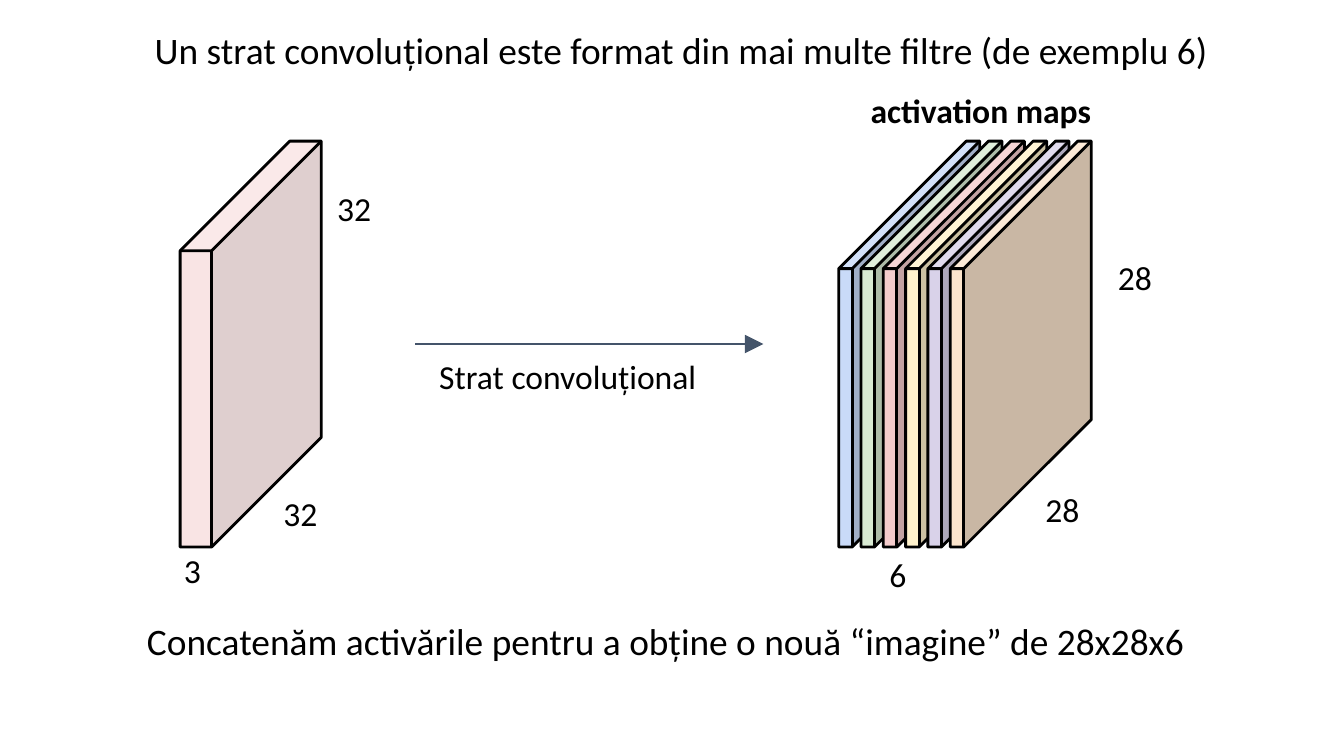
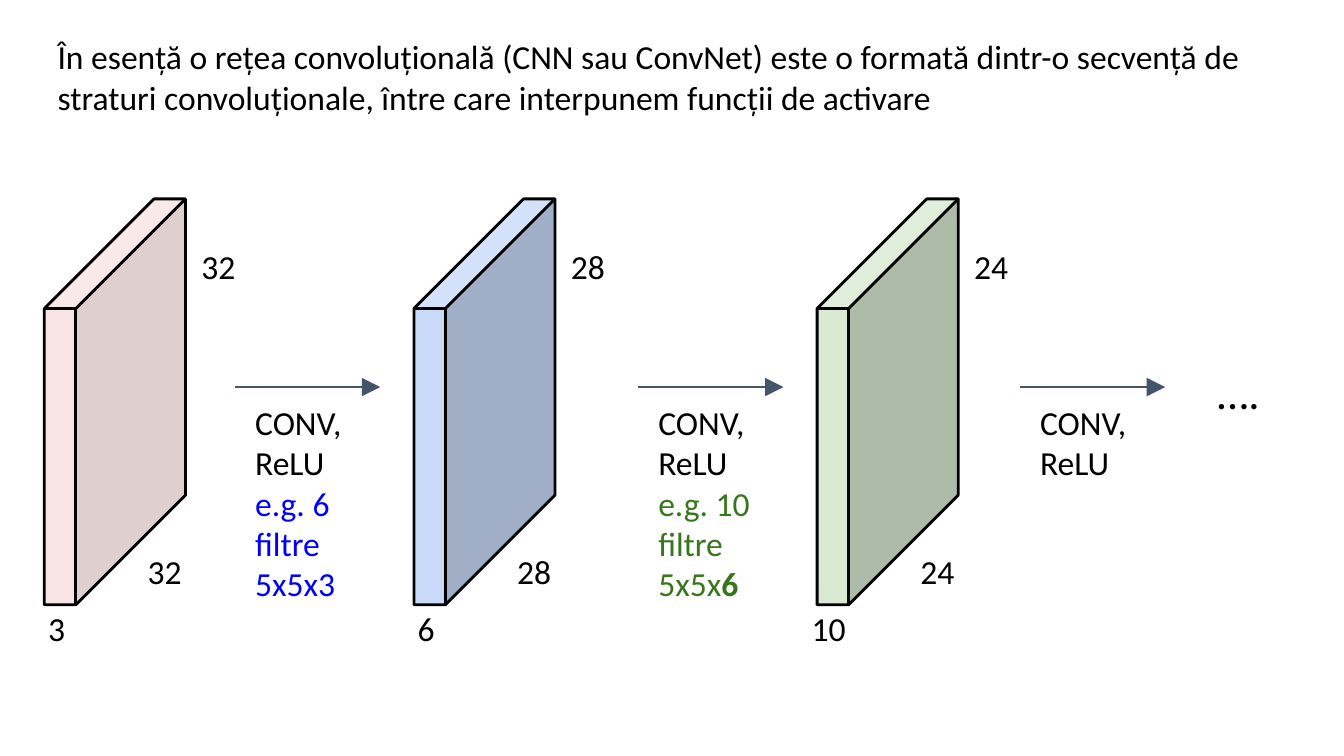
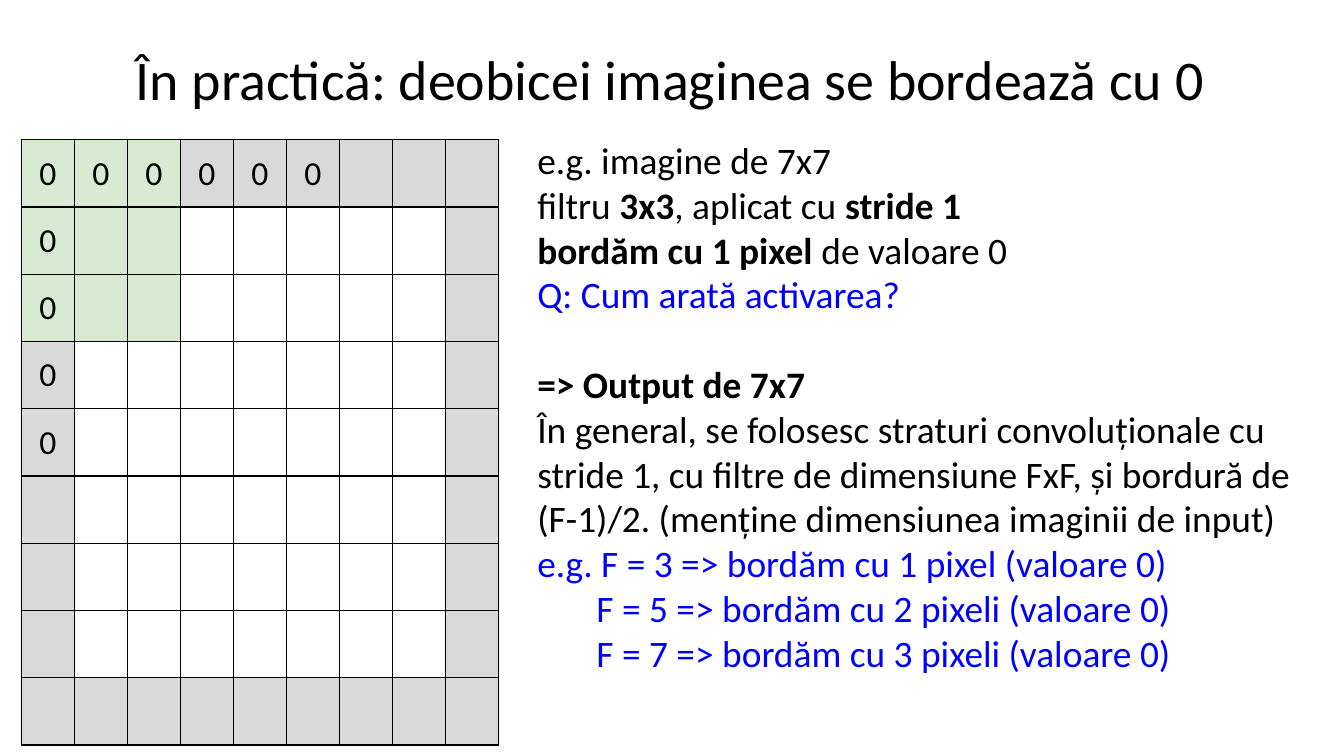
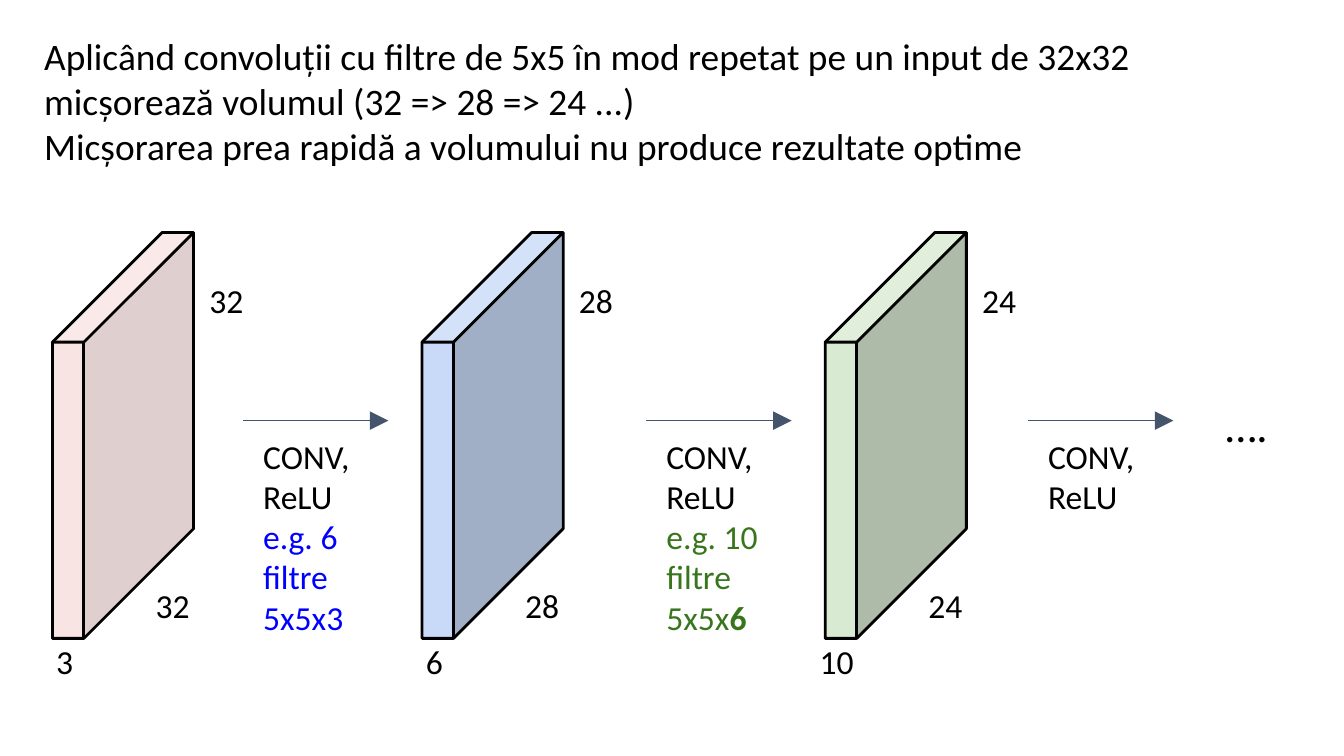
import lxml.etree
import pptx
import pptx.dml.color
import pptx.enum.shapes
import pptx.enum.text
import pptx.oxml.ns
import pptx.util

Inches = pptx.util.Inches
Pt = pptx.util.Pt
RGBColor = pptx.dml.color.RGBColor
qn = pptx.oxml.ns.qn

FONT = "Calibri"
BLACK = RGBColor(0x00, 0x00, 0x00)
WHITE = RGBColor(0xFF, 0xFF, 0xFF)
SLATE = RGBColor(0x44, 0x54, 0x6A)
BLUE = RGBColor(0x00, 0x00, 0xFF)
DARK_GREEN = RGBColor(0x38, 0x76, 0x1D)
PINK = RGBColor(0xF4, 0xCC, 0xCC)
LIGHT_BLUE = RGBColor(0xC9, 0xDA, 0xF8)
LIGHT_GREEN = RGBColor(0xD9, 0xEA, 0xD3)
YELLOW = RGBColor(0xFF, 0xF2, 0xCC)
LILAC = RGBColor(0xD9, 0xD2, 0xE9)
PEACH = RGBColor(0xFC, 0xE5, 0xCD)
GREY = RGBColor(0xD9, 0xD9, 0xD9)

LEFT = pptx.enum.text.PP_ALIGN.LEFT
CENTER = pptx.enum.text.PP_ALIGN.CENTER
MARGINS = ("margin_left", "margin_top", "margin_right", "margin_bottom")
SLIDE_WIDTH = Inches(10)
SLIDE_HEIGHT = SLIDE_WIDTH * 9 // 16
CUBE_SIZE = (1.05, 3.02)
VOLUME_DEPTH = 0.777
MAP_DEPTH = 0.904


def set_attributes(target, values):
    for name, value in values.items():
        setattr(target, name, value)


def add_child(parent, tag, **attributes):
    return lxml.etree.SubElement(parent, qn(tag), attributes)


def add_run(paragraph, text, size, color=BLACK, bold=False):
    run = paragraph.add_run()
    run.text = text
    set_attributes(run.font, {"name": FONT, "size": Pt(size), "bold": bold})
    run.font.color.rgb = color


def add_text(slide, box, paragraphs, size=18, align=LEFT):
    """Add a text box; a paragraph is a string or a list of (text, format) runs."""
    shape = slide.shapes.add_textbox(*map(Inches, box))
    frame = shape.text_frame
    frame.word_wrap = True
    set_attributes(frame, dict.fromkeys(MARGINS, Inches(0.1)))
    for index, runs in enumerate(paragraphs):
        paragraph = frame.add_paragraph() if index else frame.paragraphs[0]
        paragraph.alignment = align
        for text, run_format in [(runs, {})] if isinstance(runs, str) else runs:
            add_run(paragraph, text, size, **run_format)
    return frame


def add_cube(slide, left, top, color, depth, opacity=None):
    cube = slide.shapes.add_shape(
        pptx.enum.shapes.MSO_SHAPE.CUBE, *map(Inches, (left, top, *CUBE_SIZE)))
    cube.adjustments[0] = depth
    cube.shadow.inherit = False
    cube.fill.solid()
    cube.fill.fore_color.rgb = color
    if opacity:
        color_element = cube.fill._xPr.find(qn("a:solidFill"))[0]
        add_child(color_element, "a:alpha", val=str(opacity * 1000))
    cube.line.color.rgb = BLACK
    cube.line.width = Pt(1.5)


def add_volume(slide, left, top, color, side, depth, opacity=None):
    """Add a cube labelled with its two equal sides and its depth."""
    add_cube(slide, left, top, color, VOLUME_DEPTH, opacity)
    add_text(slide, (left + 0.67, top + 2.52, 0.54, 0.34), [side])
    add_text(slide, (left + 1.07, top + 0.25, 0.54, 0.31), [side])
    depth_shift = 0.07 * len(depth)
    add_text(slide, (left - depth_shift, top + 2.94, 0.54, 0.2), [depth])


def add_arrow(slide, left, top, length):
    arrow = slide.shapes.add_connector(
        pptx.enum.shapes.MSO_CONNECTOR.STRAIGHT,
        *map(Inches, (left, top, left + length, top)))
    arrow.line.color.rgb = SLATE
    arrow.line.width = Pt(0.75)
    add_child(arrow.line._get_or_add_ln(), "a:tailEnd",
              type="triangle", w="lg", len="lg")
    add_child(arrow._element.spPr, "a:effectLst")


def add_layer_sequence(slide, left, top):
    """Add the volumes joined by convolution arrows, from the first cube's corner."""
    volumes = [
        (0, PINK, "32", "3", 52),
        (2.75, LIGHT_BLUE, "28", "6", None),
        (5.75, LIGHT_GREEN, "24", "10", None),
    ]
    layers = [
        (1.42, 1.08, [[("e.g. 6 filtre 5x5x3", {"color": BLUE})]]),
        (4.42, 1.16, [[("e.g. 10 filtre 5x5x", {"color": DARK_GREEN}),
                       ("6", {"color": DARK_GREEN, "bold": True})]]),
        (7.26, 1.08, []),
    ]
    for offset, *volume in volumes:
        add_volume(slide, left + offset, top, *volume)
    for offset, width, filters in layers:
        add_arrow(slide, left + offset, top + 1.4, 1.08)
        add_text(slide, (left + offset + 0.05, top + 1.41, width, 0.43),
                 ["CONV,", "ReLU", *filters])
    add_text(slide, (left + 8.63, top + 1.13, 1.05, 0.39), ["…."], 24)


def format_cell(cell, color, text):
    set_attributes(cell, dict.fromkeys(MARGINS, Inches(0.1)))
    properties = cell._tc.get_or_add_tcPr()
    for side in ("a:lnL", "a:lnR", "a:lnT", "a:lnB"):
        border = add_child(properties, side, w=str(Pt(0.75)))
        add_child(add_child(border, "a:solidFill"), "a:srgbClr", val=str(BLACK))
    cell.fill.solid()
    cell.fill.fore_color.rgb = color
    paragraph = cell.text_frame.paragraphs[0]
    paragraph.alignment = CENTER
    if text:
        add_run(paragraph, text, 18)


def add_padded_image(slide, left, top, side=9, filter_side=3):
    """Add the pixel grid: grey border, green filter, zeros on the first cells."""
    width, height = Inches(3.55), Inches(3.82)
    graphic_frame = slide.shapes.add_table(
        side, side, Inches(left), Inches(top), width, height)
    table = graphic_frame.table
    set_attributes(table, {"first_row": False, "horz_banding": False})
    for row_index, row in enumerate(table.rows):
        row.height = Inches(0.34)
        for column_index, cell in enumerate(row.cells):
            position = (row_index, column_index)
            if max(position) < filter_side:
                color = LIGHT_GREEN
            elif min(position) == 0 or max(position) == side - 1:
                color = GREY
            else:
                color = WHITE
            has_zero = (row_index == 0 and column_index < 6
                        or column_index == 0 and row_index < 5)
            format_cell(cell, color, "0" if has_zero else "")
    graphic_frame.height = height


def build_activation_maps(slide):
    add_volume(slide, 1.34, 1.05, PINK, "32", "3", 52)
    add_arrow(slide, 3.09, 2.56, 2.59)
    add_text(slide, (3.17, 2.55, 2.37, 0.58), ["Strat convoluțional"])
    map_colors = (LIGHT_BLUE, LIGHT_GREEN, PINK, YELLOW, LILAC, PEACH)
    map_step = (7.07 - 6.24) / (len(map_colors) - 1)
    for index, color in enumerate(map_colors):
        add_cube(slide, 6.24 + index * map_step, 1.05, color, MAP_DEPTH)
    add_text(slide, (6.38, 0.57, 2.26, 0.59),
             [[("activation maps", {"bold": True})]])
    map_labels = (("6", 6.52, 4.02, 0.36), ("28", 7.68, 3.54, 0.54),
                  ("28", 8.22, 1.81, 0.54))
    for label, left, top, width in map_labels:
        add_text(slide, (left, top, width, 0.34), [label])
    add_text(slide, (0.3, 0.1, 9.54, 0.42),
             ["Un strat convoluțional este format din mai multe filtre (de exemplu 6)"],
             20, CENTER)
    add_text(slide, (0.47, 4.5, 8.97, 0.63),
             ["Concatenăm activările pentru a obține o nouă “imagine” de 28x28x6"],
             20, CENTER)


def build_network(slide):
    add_text(slide, (0.33, 0.17, 9.35, 1.08), [
        "În esență o rețea convoluțională (CNN sau ConvNet) este o formată dintr-o "
        "secvență de straturi convoluționale, între care interpunem funcții de activare"])
    add_layer_sequence(slide, 0.33, 1.48)


def build_padding(slide):
    bold, blue = {"bold": True}, {"color": BLUE}
    add_text(slide, (0.29, 0.23, 9.39, 0.81),
             ["În practică: deobicei imaginea se bordează cu 0"], 30, CENTER)
    frame = add_text(slide, (3.9, 0.92, 5.96, 4.53), [
        "e.g. imagine de 7x7",
        [("filtru", {}), (" 3x3", bold), (", aplicat cu ", {}), ("stride 1", bold)],
        [("bordăm cu 1 pixel", bold), (" de valoare 0", {})],
        [("Q: Cum arată activarea?", blue)],
        [("=> Output de 7x7", bold)],
        "În general, se folosesc straturi convoluționale cu stride 1, cu filtre de "
        "dimensiune FxF, și bordură de (F-1)/2. (menține dimensiunea imaginii de input)",
        [("e.g. F = 3 => bordăm cu 1 pixel (valoare 0)", blue)],
        [("F = 5 => bordăm cu 2 pixeli (valoare 0)", blue)],
        [("F = 7 => bordăm cu 3 pixeli (valoare 0)", blue)],
    ], 20)
    frame.paragraphs[4].space_before = Pt(24)
    for paragraph in frame.paragraphs[-2:]:
        paragraph._p.get_or_add_pPr().set("marL", str(Inches(0.44)))
    add_padded_image(slide, 0.16, 1.04)


def build_shrinking(slide):
    add_text(slide, (0.23, 0.15, 9.35, 1.42), [
        "Aplicând convoluții cu filtre de 5x5 în mod repetat pe un input de 32x32 "
        "micșorează volumul (32 => 28 => 24 ...)",
        "Micșorarea prea rapidă a volumului nu produce rezultate optime"], 20)
    add_layer_sequence(slide, 0.39, 1.73)


def main():
    presentation = pptx.Presentation()
    set_attributes(presentation, {"slide_width": SLIDE_WIDTH,
                                  "slide_height": SLIDE_HEIGHT})
    blank_layout = presentation.slide_layouts[6]
    for build in (build_activation_maps, build_network, build_padding, build_shrinking):
        build(presentation.slides.add_slide(blank_layout))
    presentation.save("out.pptx")


if __name__ == "__main__":
    main()
